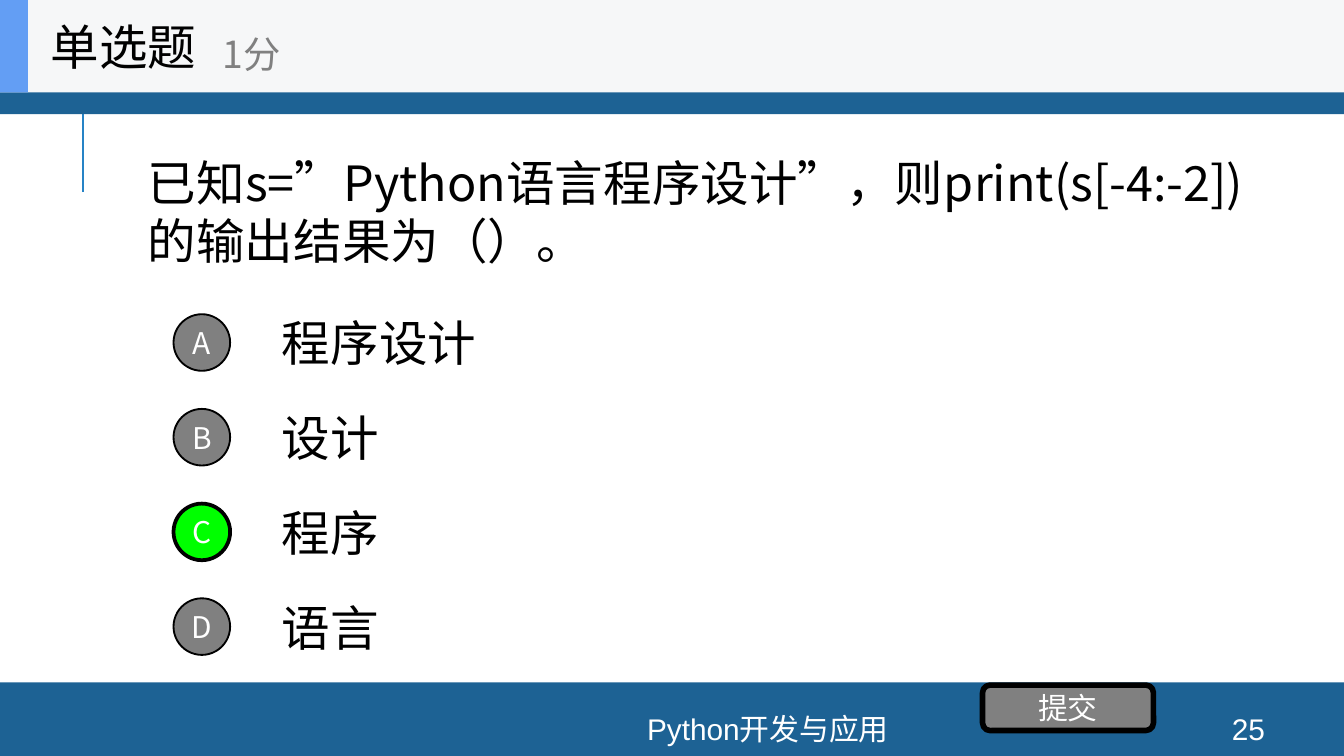
from pptx import Presentation
from pptx.dml.color import RGBColor
from pptx.enum.shapes import MSO_CONNECTOR, MSO_SHAPE as SHAPE
from pptx.enum.text import MSO_ANCHOR, MSO_AUTO_SIZE, PP_ALIGN as ALIGN
from pptx.oxml.ns import qn
from pptx.util import Cm, Pt
from lxml import etree

QUESTION = "已知s=”Python语言程序设计”，则print(s[-4:-2])的输出结果为（）。"
OPTIONS = [("A", "程序设计"), ("B", "设计"), ("C", "程序"), ("D", "语言")]
ANSWER = "C"
CJK = "Noto Sans CJK SC"
COLORS = {"band": "1D6294", "rule": "2683C6", "header": "F6F7F8",
          "accent": "639EF4", "gray": "808080", "answer": "00FF00",
          "black": "000000", "white": "FFFFFF"}
TEXTS = [
    ("Python开发与应用", (6.63, 13.49, 15.77, 0.58), 16, "white", "Arial", ALIGN.CENTER),
    ("25", (22.58, 13.49, 2.03, 0.58), 16, "white", "Arial", ALIGN.CENTER),
    ("单选题", (0.71, 0, 5.28, 1.75), 26, "black", CJK, ALIGN.LEFT),
    ("1分", (3.96, 0.3, 6.35, 1.42), 20, "gray", CJK, ALIGN.LEFT),
]
BANDS = [((0, 12.9, 25.4, 1.39), "band"), ((0, 0, 25.4, 2.16), "band"),
         ((0, 0, 25.4, 1.75), "header"), ((0, 0, 0.53, 1.75), "accent")]
OPTION_TOP, OPTION_STEP, OPTION_H, CIRCLE = 5.8, 1.79, 1.35, 1.07


def rgb(name):
    return RGBColor.from_string(COLORS[name])


def write(s, text, size, color, font=CJK, align=ALIGN.LEFT):
    tf = s.text_frame
    tf.text = text
    tf.word_wrap = True
    tf.auto_size = MSO_AUTO_SIZE.NONE
    tf.vertical_anchor = MSO_ANCHOR.MIDDLE
    p = tf.paragraphs[0]
    p.alignment = align
    p.font.size = Pt(size)
    p.font.color.rgb = rgb(color)
    p.font.name = font
    ea = etree.SubElement(p._p.pPr.find(qn("a:defRPr")), qn("a:ea"))
    ea.set("typeface", CJK)
    return p


def add_text(box, *style):
    return write(slide.shapes.add_textbox(*map(Cm, box)), *style)


def add_shape(kind, box, fill, line=None):
    s = slide.shapes.add_shape(kind, *map(Cm, box))
    s.shadow.inherit = False
    s.fill.solid()
    s.fill.fore_color.rgb = rgb(fill)
    if line:
        s.line.color.rgb = rgb("black")
        s.line.width = Pt(line)
    else:
        s.line.fill.background()
    return s


def add_label(s, text):
    tf = s.text_frame
    tf.margin_left = tf.margin_right = tf.margin_top = tf.margin_bottom = 0
    write(s, text, 16, "white", CJK, ALIGN.CENTER)


prs = Presentation()
prs.slide_width, prs.slide_height = Cm(25.4), Cm(14.29)
slide = prs.slides.add_slide(prs.slide_layouts[5])

rule = slide.shapes.add_connector(MSO_CONNECTOR.STRAIGHT, Cm(1.57), Cm(3.63), Cm(1.57), Cm(1.73))
rule.line.color.rgb = rgb("rule")
rule.line.width = Pt(1.5)
etree.SubElement(rule._element.spPr, qn("a:effectLst"))

for box, fill in BANDS:
    add_shape(SHAPE.RECTANGLE, box, fill)

title = slide.shapes.title
title.left, title.top, title.width, title.height = map(Cm, (2.54, 1.75, 21.56, 4.47))
write(title, QUESTION, 26, "black").line_spacing = Pt(31)

for text, box, *style in TEXTS:
    add_text(box, text, *style)

for i, (letter, text) in enumerate(OPTIONS):
    top = OPTION_TOP + i * OPTION_STEP
    right = letter == ANSWER
    add_text((5.08, top, 17.78, OPTION_H), text, 26, "black")
    circle = add_shape(SHAPE.OVAL, (3.28, top + (OPTION_H - CIRCLE) / 2, CIRCLE, CIRCLE),
                       "answer" if right else "gray", 2 if right else 1)
    add_label(circle, letter)

submit = add_shape(SHAPE.ROUNDED_RECTANGLE, (18.57, 12.95, 3.23, 0.86), "gray", 3)
add_label(submit, "提交")

prs.save("out.pptx")
